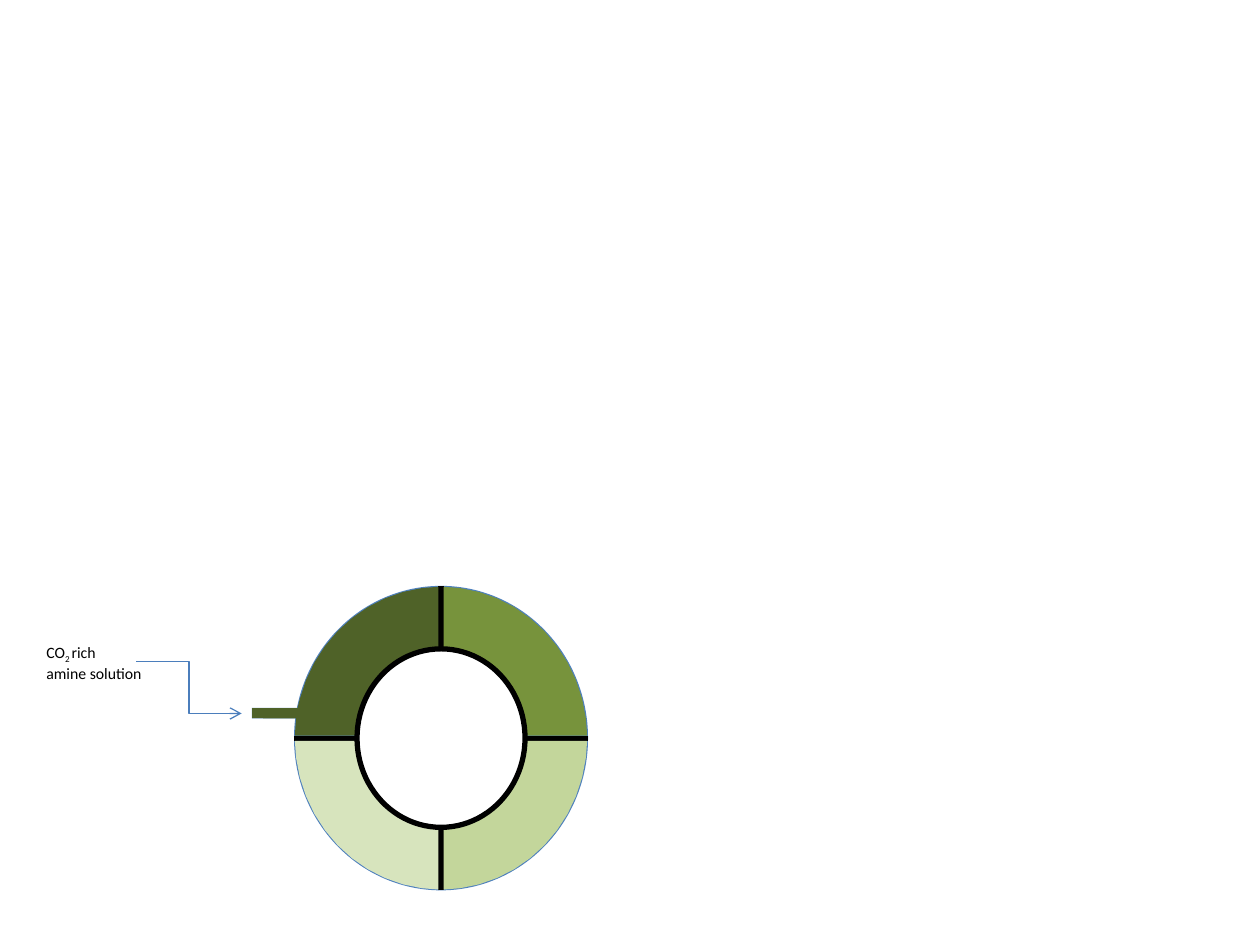
from dataclasses import dataclass
from math import cos, radians, sin

from lxml import etree
from pptx import Presentation
from pptx.dml.color import RGBColor
from pptx.enum.shapes import MSO_CONNECTOR, MSO_SHAPE
from pptx.enum.text import MSO_AUTO_SIZE
from pptx.oxml.ns import qn
from pptx.util import Pt

STRAIGHT, ELBOW = MSO_CONNECTOR.STRAIGHT, MSO_CONNECTOR.ELBOW
OVAL, RECTANGLE = MSO_SHAPE.OVAL, MSO_SHAPE.RECTANGLE
FIT_SHAPE = MSO_AUTO_SIZE.SHAPE_TO_FIT_TEXT


@dataclass(frozen=True)
class Theme:
    """Colours and type sizes of the slide."""
    base: str = "4F81BD"
    outline: str = "000000"
    hole: str = "FFFFFF"
    arrow: str = "4B7EBC"
    top_left: str = "4F6228"
    top_right: str = "77933C"
    bottom_right: str = "C3D69B"
    bottom_left: str = "D7E4BD"
    font: str = "Calibri"
    text_size: float = 9
    wall_width: float = 3
    arrow_width: float = 0.75


THEME = Theme()


def paint(shape, fill, line=None, width=0):
    """Give a shape a flat fill and an optional outline."""
    shape.shadow.inherit = False
    shape.fill.solid()
    shape.fill.fore_color.rgb = RGBColor.from_string(fill)
    if line is None:
        shape.line.fill.background()
    else:
        shape.line.color.rgb = RGBColor.from_string(line)
        shape.line.width = Pt(width)


def add_preset(slide, kind, box, *style):
    """Add a painted preset shape in a box of left, top, width, height."""
    shape = slide.shapes.add_shape(kind, *map(Pt, box))
    paint(shape, *style)


def add_line(slide, kind, start, end, colour, width):
    """Add a connector without shadow and return it."""
    line = slide.shapes.add_connector(kind, *map(Pt, (*start, *end)))
    line.line.color.rgb = RGBColor.from_string(colour)
    line.line.width = Pt(width)
    etree.SubElement(line._element.spPr, qn("a:effectLst"))
    return line


def arc(radius_x, radius_y, gap):
    """Return quarter-arc offsets from the centre, kept off both axes."""
    angles = [radians(7.5 * step) for step in range(13)]
    return [(max(gap, radius_x * cos(angle)), max(gap, radius_y * sin(angle)))
            for angle in angles]


def add_sector(slide, centre, side_x, side_y, outer, inner, colour):
    """Add one quarter of the ring, mirrored to its side of the centre."""
    points = [(Pt(centre[0] + side_x * x), Pt(centre[1] + side_y * y))
              for x, y in outer + inner[::-1]]
    builder = slide.shapes.build_freeform(*points[0])
    builder.add_line_segments(points[1:], close=True)
    paint(builder.convert_to_shape(), colour)


def add_ring(slide, left, top, width, height):
    """Draw the four-chamber ring with its inlet on the left."""
    thickness, gap, inlet_length = 36, 1.5, 24
    radius_x, radius_y = width / 2, height / 2
    centre_x, centre_y = left + radius_x, top + radius_y
    right, bottom = left + width, top + height
    add_preset(slide, OVAL, (left, top, width, height), THEME.base)

    walls = [((left, centre_y), (left + thickness, centre_y)),
             ((right - thickness, centre_y), (right, centre_y)),
             ((centre_x, top), (centre_x, top + thickness)),
             ((centre_x, bottom), (centre_x, bottom - thickness))]
    for start, end in walls:
        add_line(slide, STRAIGHT, start, end, THEME.outline, THEME.wall_width)

    inlet_low, inlet_high = 11.4, 17.2
    inlet_x = radius_x + inlet_length
    add_preset(slide, RECTANGLE,
               (left - inlet_length, centre_y - inlet_high, 30, 6), THEME.base)

    outer = arc(radius_x - 0.5, radius_y - 0.5, gap)
    inner = arc(radius_x - thickness + 1, radius_y - thickness + 1, gap)
    inlet = [(inlet_x, inlet_low), (inlet_x, inlet_high),
             (radius_x - 2, inlet_high)]
    sectors = [(1, 1, outer, THEME.bottom_right),
               (1, -1, outer, THEME.top_right),
               (-1, -1, outer[:2] + inlet + outer[2:], THEME.top_left),
               (-1, 1, outer, THEME.bottom_left)]
    for side_x, side_y, edge, colour in sectors:
        add_sector(slide, (centre_x, centre_y), side_x, side_y,
                   edge, inner, colour)

    add_preset(slide, OVAL,
               (left + thickness, top + thickness,
                width - 2 * thickness, height - 2 * thickness),
               THEME.hole, THEME.outline, THEME.wall_width)


def add_feed(slide, left, top, width, height):
    """Write the feed label and lead an arrow from it to the inlet."""
    start = (left + 58.4, top + height / 2)
    end = (start[0] + 60.3, start[1] + 29.6)
    arrow = add_line(slide, ELBOW, start, end, THEME.arrow, THEME.arrow_width)
    etree.SubElement(arrow.line._get_or_add_ln(), qn("a:tailEnd"), type="arrow")

    label = slide.shapes.add_textbox(*map(Pt, (left, top, width, height)))
    frame = label.text_frame
    frame.word_wrap = True
    frame.auto_size = FIT_SHAPE
    formula, solution = frame.paragraphs[0], frame.add_paragraph()
    for text in ("CO", "2 ", "rich"):
        formula.add_run().text = text
    formula.runs[1].font._element.set("baseline", "-25000")
    solution.add_run().text = "amine solution"
    for paragraph in frame.paragraphs:
        paragraph.font.name = THEME.font
        paragraph.font.size = Pt(THEME.text_size)
        paragraph.font.color.rgb = RGBColor.from_string(THEME.outline)


def main():
    """Build and save the slide."""
    presentation = Presentation()
    presentation.slide_width, presentation.slide_height = Pt(720), Pt(540)
    slide = presentation.slides.add_slide(presentation.slide_layouts[6])
    add_ring(slide, 168, 334.8, 168, 174)
    add_feed(slide, 19.4, 363.6, 70.6, 29)
    presentation.save("out.pptx")


main()
